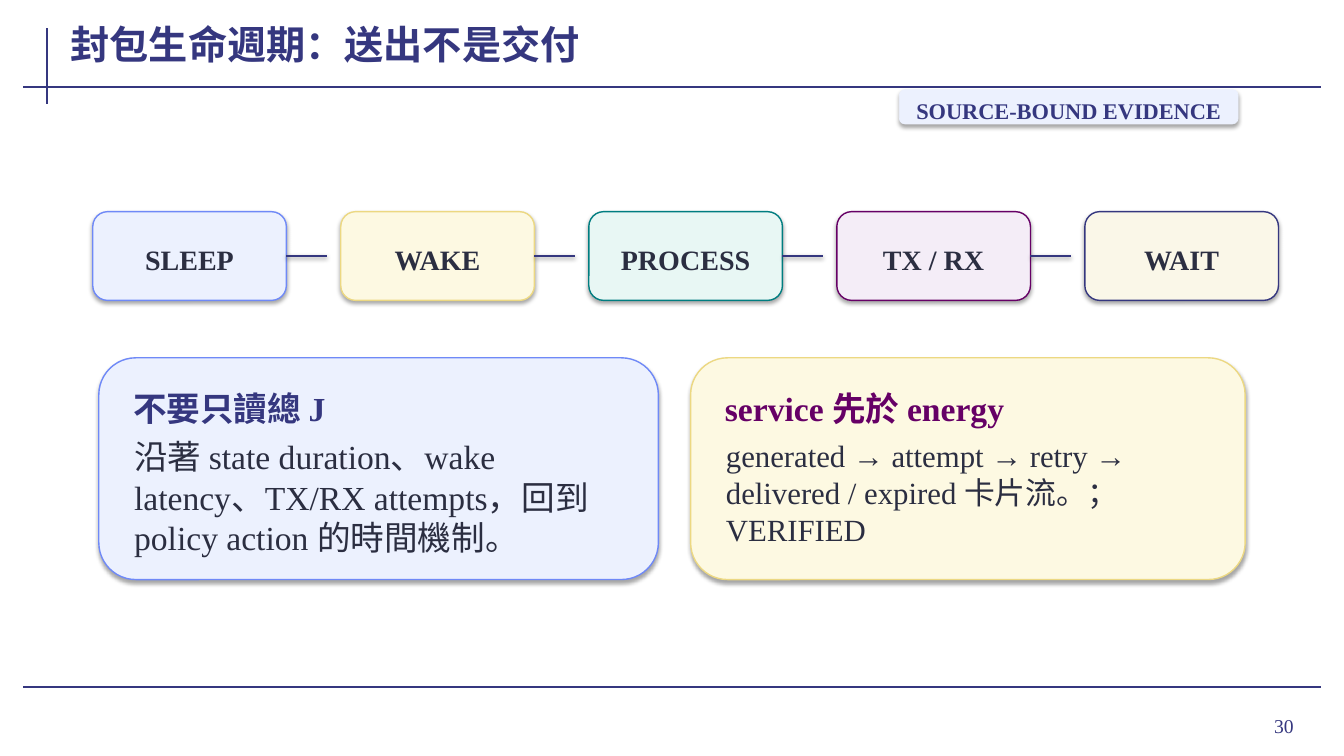
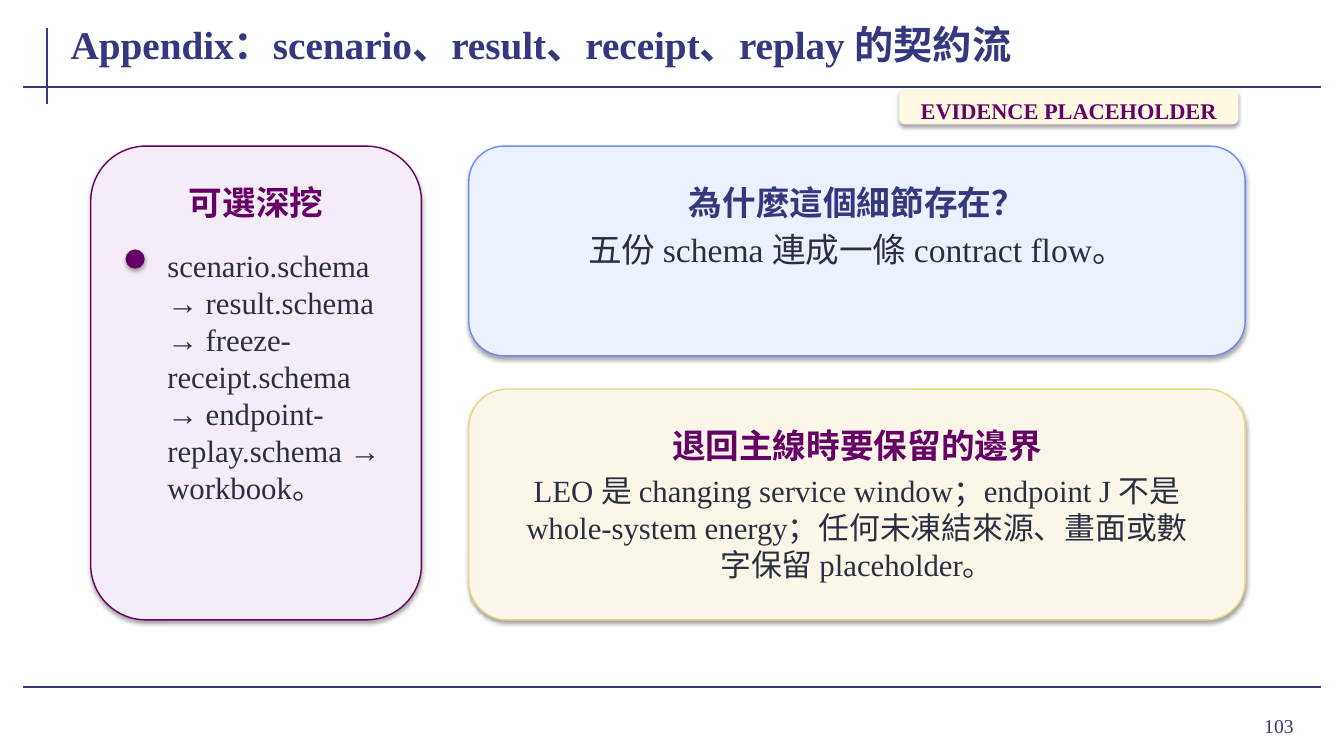
from dataclasses import dataclass
from itertools import pairwise

from lxml.etree import SubElement
from pptx import Presentation
from pptx.dml.color import RGBColor
from pptx.enum.shapes import MSO_CONNECTOR, MSO_SHAPE
from pptx.enum.text import MSO_ANCHOR, MSO_AUTO_SIZE, PP_ALIGN
from pptx.oxml.ns import qn
from pptx.util import Inches, Pt


@dataclass(frozen=True)
class Theme:
    font: str = "Times New Roman"
    navy: str = "35377F"
    ink: str = "2B2E41"
    purple: str = "660066"
    blue: str = "6F89F7"
    gold: str = "ECD882"
    teal: str = "007D80"
    pale_blue: str = "ECF1FE"
    pale_gold: str = "FDF9E2"
    pale_teal: str = "E8F7F4"
    pale_purple: str = "F4EDF7"
    cream: str = "FAF7E8"
    title_size: int = 28
    heading_size: int = 24
    body_size: int = 22
    step_size: int = 20
    tag_size: int = 16
    number_size: int = 14


@dataclass(frozen=True)
class CardStyle:
    """Offsets of heading and body from the card's edges, in inches."""
    heading_inset: float
    heading_top: float
    body_inset: float
    body_top: float
    align: PP_ALIGN


THEME = Theme()
LEFT_CARD = CardStyle(0.26, 0.25, 0.27, 0.73, PP_ALIGN.LEFT)
CENTERED_CARD = CardStyle(0.3, 0.31, 0.35, 0.77, PP_ALIGN.CENTER)


def add_shadow(element, alpha, distance):
    """Replace the theme shadow by a soft one that falls straight down."""
    properties = element.spPr
    effects = properties.find(qn("a:effectLst"))
    if effects is None:
        effects = SubElement(properties, qn("a:effectLst"))
    shadow = SubElement(effects, qn("a:outerShdw"), blurRad=str(Pt(3.1)),
                        dist=str(Pt(distance)), dir="5400000", rotWithShape="0")
    color = SubElement(shadow, qn("a:srgbClr"), val="000000")
    SubElement(color, qn("a:alpha"), val=str(alpha * 1000))


def add_panel(slide, box, fill, outline, weight=1, kind=MSO_SHAPE.ROUNDED_RECTANGLE):
    panel = slide.shapes.add_shape(kind, *map(Inches, box))
    panel.fill.solid()
    panel.fill.fore_color.rgb = RGBColor.from_string(fill)
    panel.line.color.rgb = RGBColor.from_string(outline)
    panel.line.width = Pt(weight)
    panel.shadow.inherit = False
    add_shadow(panel.element, alpha=35, distance=1.8)
    return panel


def add_text(slide, box, text, size, color, bold=False, align=PP_ALIGN.LEFT, grow=True):
    label = slide.shapes.add_textbox(*map(Inches, box))
    frame = label.text_frame
    frame.word_wrap = True
    frame.auto_size = MSO_AUTO_SIZE.SHAPE_TO_FIT_TEXT if grow else MSO_AUTO_SIZE.NONE
    frame.margin_left = frame.margin_right = Inches(0.08)
    frame.margin_top, frame.margin_bottom = Inches(0.05), Inches(0.04)
    paragraph = frame.paragraphs[0]
    paragraph.text = text
    paragraph.alignment = align
    paragraph.space_after = Pt(2)
    paragraph.font.name = THEME.font
    paragraph.font.size = Pt(size)
    paragraph.font.bold = bold
    paragraph.font.color.rgb = RGBColor.from_string(color)
    return frame


def add_rule(slide, x1, y1, x2, y2):
    rule = slide.shapes.add_connector(MSO_CONNECTOR.STRAIGHT,
                                      *map(Inches, (x1, y1, x2, y2)))
    rule.line.color.rgb = RGBColor.from_string(THEME.navy)
    rule.line.width = Pt(1.5)
    SubElement(rule.element.spPr, qn("a:effectLst"))
    return rule


def add_framed_slide(deck, title, number, tag, tag_fill, tag_color):
    """Add a slide with title, rules, page number and evidence tag."""
    slide = deck.slides.add_slide(deck.slide_layouts[6])
    add_rule(slide, 0.47, 0.28, 0.47, 1.03)
    for y in (0.86, 6.82):
        add_rule(slide, 0.23, y, 13.1, y)
    page = add_text(slide, (11.96, 6.93, 0.97, 0.52), number, THEME.number_size,
                    THEME.navy, align=PP_ALIGN.RIGHT, grow=False)
    page.vertical_anchor = MSO_ANCHOR.MIDDLE
    page.margin_right = Inches(0.1)
    add_text(slide, (0.62, 0.15, 12.49, 0.62), title, THEME.title_size,
             THEME.navy, bold=True, grow=False)
    add_panel(slide, (8.92, 0.89, 3.36, 0.34), tag_fill, tag_fill, 0.5)
    add_text(slide, (8.97, 0.91, 3.26, 0.27), tag, THEME.tag_size, tag_color,
             bold=True, align=PP_ALIGN.CENTER)
    return slide


def add_card(slide, box, fill, outline, heading, heading_color, style,
             body=None, body_size=THEME.body_size):
    left, top, width, height = box
    add_panel(slide, box, fill, outline)
    inset = style.heading_inset
    add_text(slide, (left + inset, top + style.heading_top, width - 2 * inset, 0.34),
             heading, THEME.heading_size, heading_color, bold=True, align=style.align)
    if body:
        inset = style.body_inset
        add_text(slide, (left + inset, top + style.body_top, width - 2 * inset, 1.05),
                 body, body_size, THEME.ink, align=style.align)


def add_step_chain(slide, left, top, steps):
    width, height, pitch, link_length = 1.92, 0.88, 2.46, 0.4
    panels = []
    for index, (name, fill, outline) in enumerate(steps):
        x = left + index * pitch
        panels.append((x, add_panel(slide, (x, top, width, height), fill, outline)))
        add_text(slide, (x + 0.08, top + 0.26, width - 0.16, 0.34), name,
                 THEME.step_size, THEME.ink, bold=True, align=PP_ALIGN.CENTER)
    for (x, panel), _ in pairwise(panels):
        start, middle = x + width, top + height / 2
        link = add_rule(slide, start, middle, start + link_length, middle)
        link.begin_connect(panel, 3)
        add_shadow(link.element, alpha=38, distance=1.6)


def add_bullet_item(slide, left, top, width, text):
    dot = 0.18
    add_panel(slide, (left, top + 0.08, dot, dot), THEME.purple, THEME.purple,
              0.75, MSO_SHAPE.OVAL)
    add_text(slide, (left + 0.33, top, width - 0.33, 0.4), text,
             THEME.body_size, THEME.ink)


def build_lifecycle_slide(deck):
    slide = add_framed_slide(deck, "封包生命週期：送出不是交付", "30",
                             "SOURCE-BOUND EVIDENCE", THEME.pale_blue, THEME.navy)
    add_step_chain(slide, 0.92, 2.1, [
        ("SLEEP", THEME.pale_blue, THEME.blue),
        ("WAKE", THEME.pale_gold, THEME.gold),
        ("PROCESS", THEME.pale_teal, THEME.teal),
        ("TX / RX", THEME.pale_purple, THEME.purple),
        ("WAIT", THEME.cream, THEME.navy),
    ])
    add_card(slide, (0.98, 3.55, 5.55, 2.2), THEME.pale_blue, THEME.blue,
             "不要只讀總 J", THEME.navy, LEFT_CARD,
             "沿著 state duration、wake latency、TX/RX attempts，回到 policy action 的時間機制。",
             THEME.heading_size)
    add_card(slide, (6.85, 3.55, 5.5, 2.2), THEME.pale_gold, THEME.gold,
             "service 先於 energy", THEME.purple, LEFT_CARD,
             "generated → attempt → retry → delivered / expired 卡片流。；VERIFIED")


def build_contract_slide(deck):
    slide = add_framed_slide(deck, "Appendix：scenario、result、receipt、replay 的契約流",
                             "103", "EVIDENCE PLACEHOLDER", THEME.pale_gold, THEME.purple)
    add_card(slide, (0.9, 1.45, 3.28, 4.7), THEME.pale_purple, THEME.purple,
             "可選深挖", THEME.purple, CENTERED_CARD)
    add_bullet_item(slide, 1.25, 2.4, 2.63,
                    "scenario.schema → result.schema → freeze-receipt.schema → "
                    "endpoint-replay.schema → workbook。")
    add_card(slide, (4.65, 1.45, 7.7, 2.08), THEME.pale_blue, THEME.blue,
             "為什麼這個細節存在？", THEME.navy, CENTERED_CARD,
             "五份 schema 連成一條 contract flow。", THEME.heading_size)
    add_card(slide, (4.65, 3.86, 7.7, 2.29), THEME.cream, THEME.gold,
             "退回主線時要保留的邊界", THEME.purple, CENTERED_CARD,
             "LEO 是 changing service window；endpoint J 不是 whole-system energy；"
             "任何未凍結來源、畫面或數字保留 placeholder。")


def main():
    deck = Presentation()
    deck.slide_width, deck.slide_height = Inches(13.33), Inches(7.5)
    build_lifecycle_slide(deck)
    build_contract_slide(deck)
    deck.save("out.pptx")


if __name__ == "__main__":
    main()
